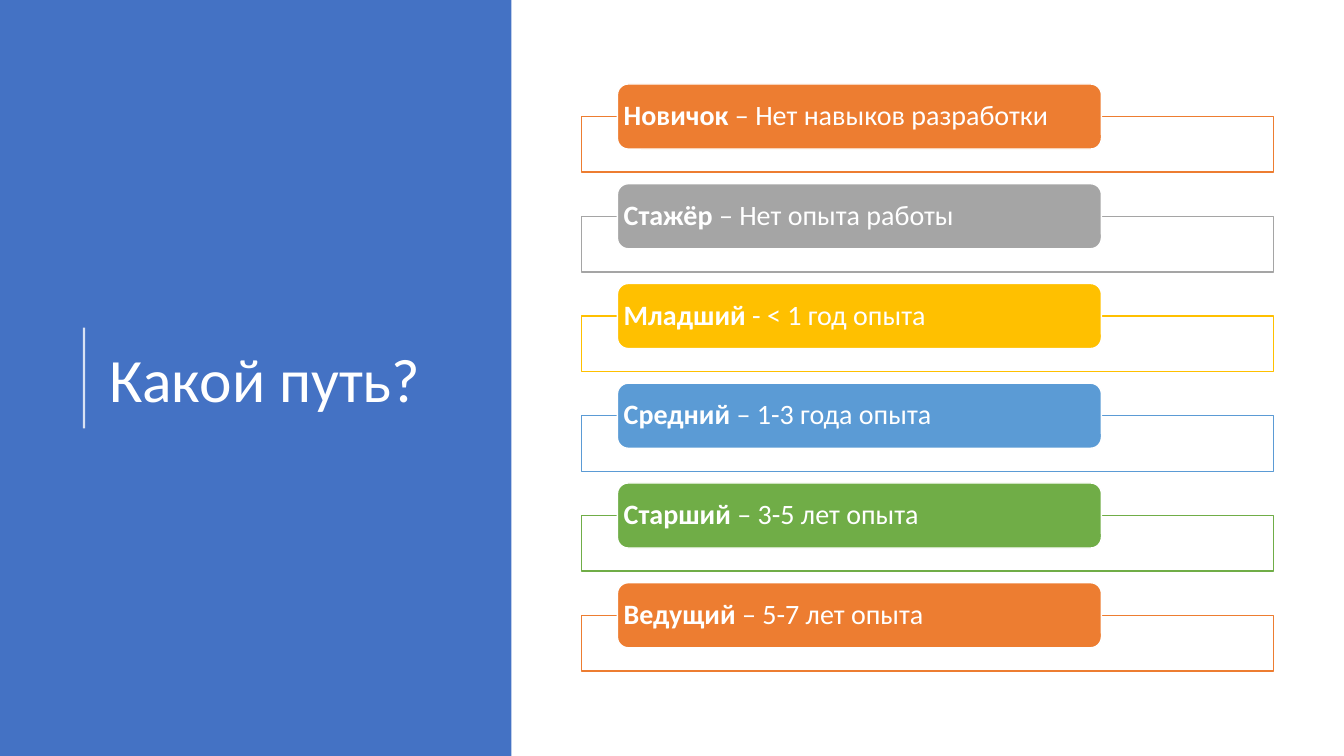
from dataclasses import dataclass

from lxml.etree import SubElement
from pptx import Presentation
from pptx.dml.color import RGBColor
from pptx.enum.shapes import MSO_CONNECTOR as Connector, MSO_SHAPE as Shape
from pptx.enum.text import MSO_ANCHOR as Anchor, PP_ALIGN as Align
from pptx.oxml.ns import qn
from pptx.util import Pt

EMU_PER_PX = 9525


@dataclass(frozen=True)
class Theme:
    """Colours, font and type sizes of the deck."""
    font: str = "Calibri"
    white: str = "FFFFFF"
    panel: str = "4472C4"
    orange: str = "ED7D31"
    grey: str = "A5A5A5"
    gold: str = "FFC000"
    sky: str = "5B9BD5"
    green: str = "70AD47"
    title_size: int = 44
    level_size: int = 20


THEME = Theme()
LEVELS = [
    ("Новичок ", "– Нет навыков разработки", THEME.orange),
    ("Стажёр ", "– Нет опыта работы", THEME.grey),
    ("Младший", " - < 1 год опыта", THEME.gold),
    ("Средний", " – 1-3 года опыта", THEME.sky),
    ("Старший", " – 3-5 лет опыта", THEME.green),
    ("Ведущий ", "– 5-7 лет опыта", THEME.orange),
]


def px(length):
    """Turn whole pixels into EMU."""
    return length * EMU_PER_PX


def set_alpha(color_format, percent):
    """Give a solid colour an opacity."""
    color = color_format._xFill.find(qn("a:srgbClr"))
    SubElement(color, qn("a:alpha")).set("val", str(percent * 1000))


def add_box(page, kind, box, fill, line=None):
    """Add a filled shape in a pixel box, with an optional 1 pt outline."""
    shape = page.shapes.add_shape(kind, *map(px, box))
    shape.shadow.inherit = False
    shape.fill.solid()
    shape.fill.fore_color.rgb = RGBColor.from_string(fill)
    if line:
        shape.line.color.rgb = RGBColor.from_string(line)
        shape.line.width = Pt(1)
    else:
        shape.line.fill.background()
    return shape


def format_frame(frame, inset):
    """Set wrapping, middle anchoring and equal insets."""
    frame.word_wrap = True
    frame.vertical_anchor = Anchor.MIDDLE
    frame.margin_left = frame.margin_right = px(inset)
    frame.margin_top = frame.margin_bottom = px(inset)


def format_para(para, size):
    """Set left alignment, line spacing and white type."""
    para.alignment = Align.LEFT
    para.line_spacing = 0.9
    for span in para.runs:
        span.font.name = THEME.font
        span.font.size = Pt(size)
        span.font.color.rgb = RGBColor.from_string(THEME.white)


def add_title_panel(page, box, text):
    """Place the coloured panel, the title and its vertical rule."""
    left, top, width, height = box
    panel = add_box(page, Shape.RECTANGLE, box, THEME.panel)
    page.shapes._spTree.insert(2, panel._element)

    title = page.shapes.title
    title.left, title.top = px(left + 99), px(top + 75)
    title.width, title.height = px(width - 133), px(height - 142)
    title.text_frame.text = text
    format_frame(title.text_frame, 5)
    format_para(title.text_frame.paragraphs[0], THEME.title_size)

    middle = top + height // 2
    rule = page.shapes.add_connector(
        Connector.STRAIGHT,
        px(left + 80), px(middle + 48), px(left + 80), px(middle - 48))
    rule.line.color.rgb = RGBColor.from_string(THEME.white)
    rule.line.width = Pt(1.5)
    set_alpha(rule.line.fill.fore_color, 80)
    SubElement(rule._element.spPr, qn("a:effectLst"))


def add_level(page, box, name, detail, color):
    """Place one outlined frame with its labelled pill."""
    left, top, width, _ = box
    frame = add_box(
        page, Shape.RECTANGLE, (left, top + 31, width, 53), THEME.white, color)
    set_alpha(frame.fill.fore_color, 90)
    pill = add_box(
        page, Shape.ROUNDED_RECTANGLE, (left + 34, top, width * 7 // 10, 62),
        color, THEME.white)
    format_frame(pill.text_frame, 3)
    para = pill.text_frame.paragraphs[0]
    para.space_before = Pt(8)
    for text, bold in ((name, True), (detail, False)):
        span = para.add_run()
        span.text = text
        span.font.bold = bold
    format_para(para, THEME.level_size)


def add_level_list(page, box, levels):
    """Share the box height equally among the levels."""
    left, top, width, height = box
    count = len(levels)
    for index, level in enumerate(levels):
        row_top = top + index * height // count
        add_level(page, (left, row_top, width, height // count), *level)


def main():
    """Build and save the deck."""
    deck = Presentation()
    deck.slide_width, deck.slide_height = px(1280), px(720)
    page = deck.slides.add_slide(deck.slide_layouts.get_by_name("Title Only"))
    add_title_panel(page, (0, 0, 487, 720), "Какой путь?")
    add_level_list(page, (554, 80, 659, 571), LEVELS)
    deck.save("out.pptx")


if __name__ == "__main__":
    main()
